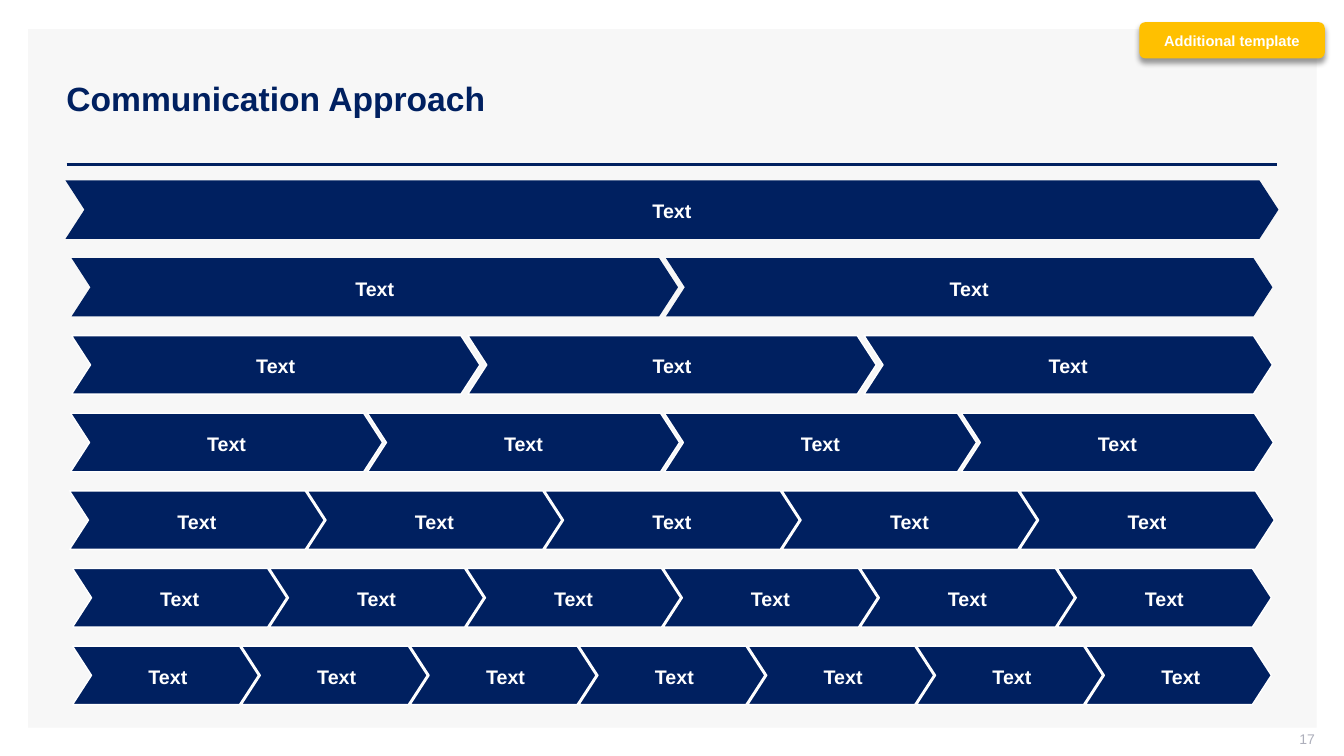
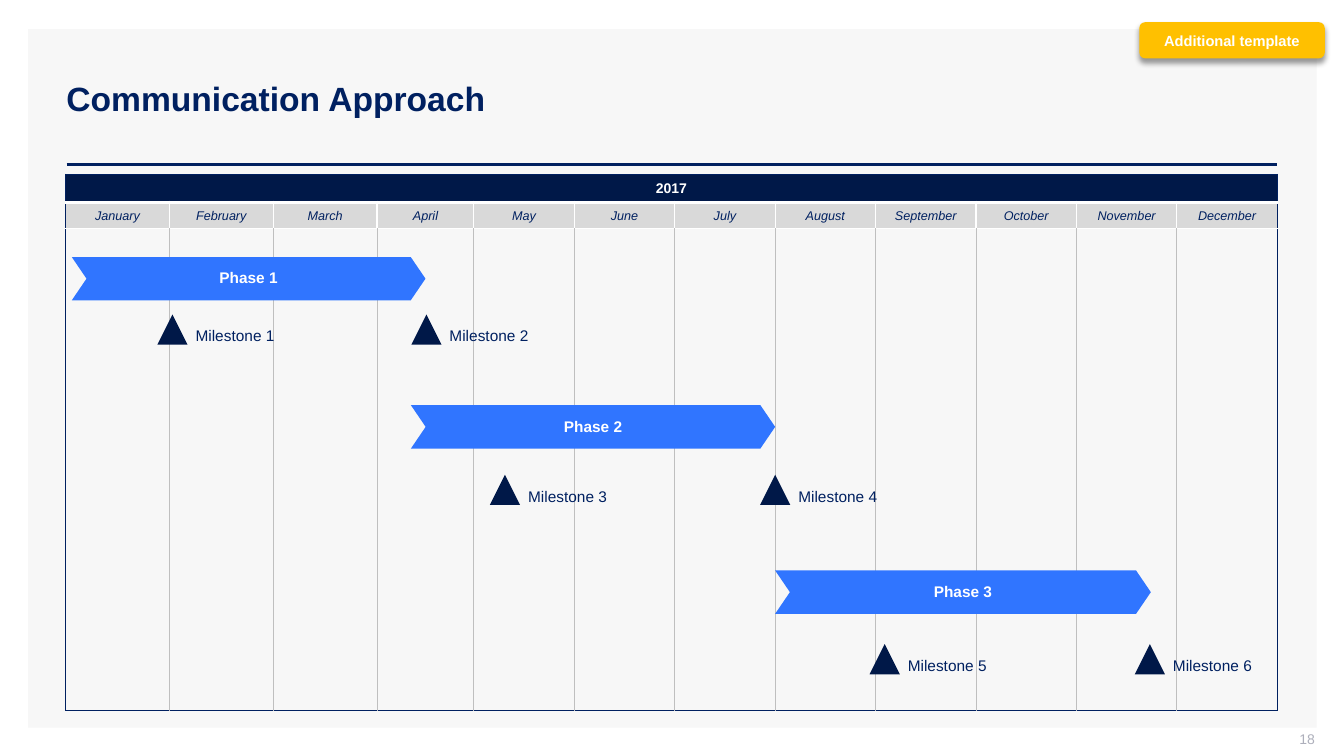
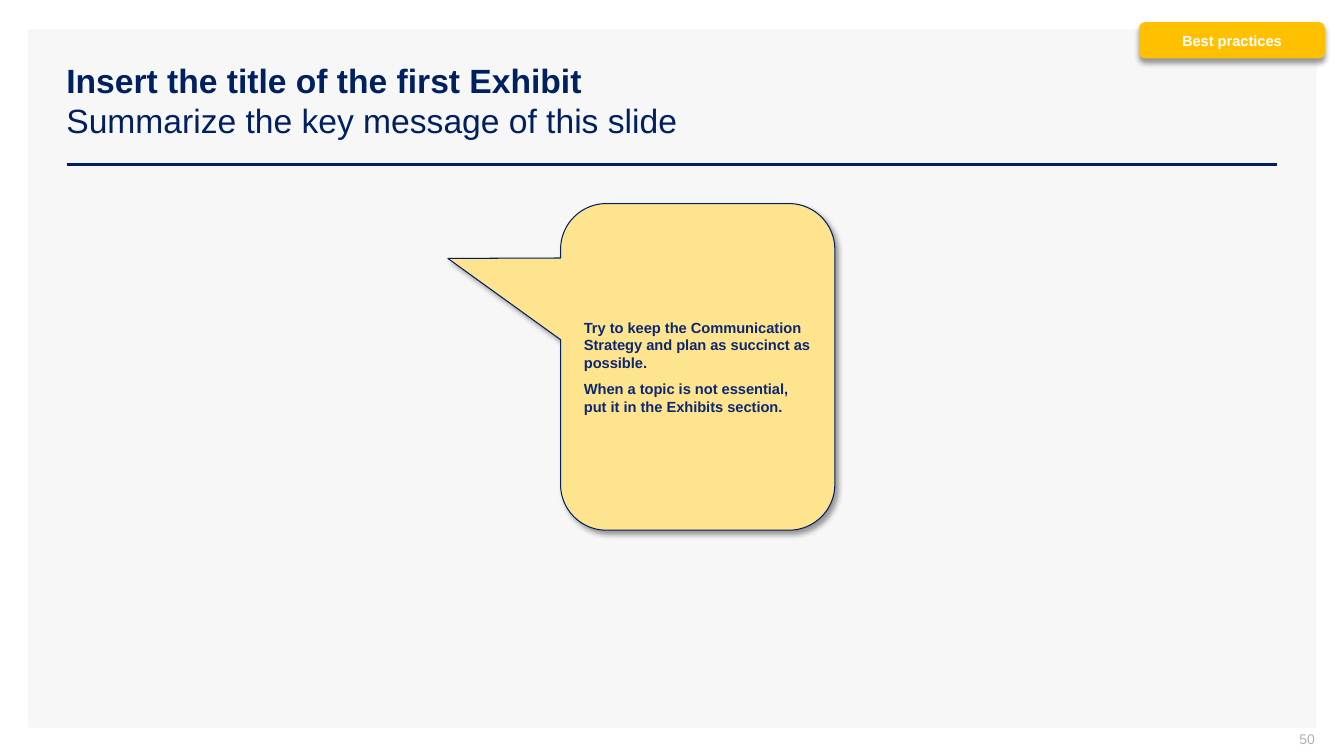
import pptx
import pptx.util
import pptx.dml.color
import pptx.enum.shapes
import pptx.enum.text
import pptx.oxml.ns
from itertools import accumulate
from lxml import etree

# Content
PLAN = "Communication Approach"
EXTRA = "Additional template"
ROWS = [  # chevrons, left edge, overlap, outline
    (1, 0.65, 0, None), (2, 0.71, 0.12, None), (3, 0.71, 0.12, "FFFFFF"),
    (4, 0.7, 0.15, "FFFFFF"), (5, 0.69, 0.17, "FFFFFF"),
    (6, 0.72, 0.17, "FFFFFF"), (7, 0.72, 0.17, "FFFFFF"),
]
YEAR = "2017"
MONTHS = ["January", "February", "March", "April", "May", "June", "July",
          "August", "September", "October", "November", "December"]
TRACKS = [  # phase, first and last month, top; milestones by month, top
    ("Phase 1", 0.06, 3.5, 2.55, [("Milestone 1", 1.03), ("Milestone 2", 3.51)], 3.12),
    ("Phase 2", 3.35, 7, 4.02, [("Milestone 3", 4.31), ("Milestone 4", 7)], 4.71),
    ("Phase 3", 7, 10.74, 5.66, [("Milestone 5", 8.09), ("Milestone 6", 10.73)], 6.39),
]
EXHIBIT = ["Insert the title of the first Exhibit",
           "Summarize the key message of this slide"]
TIPS = ["Try to keep the Communication Strategy and plan as succinct as possible.",
        "When a topic is not essential, put it in the Exhibits section."]

# Shared style
WIDE, HIGH = 13.33, 7.5
LEFT, SPAN = 0.65, 12.02
FONT = "Arial"
NAVY, DARK, BLUE, GOLD, WHITE = "002060", "001848", "3075FF", "FFC000", "FFFFFF"
PALE, GREY, LINE, MUTE = "F7F7F7", "D9D9D9", "BFBFBF", "ADAFBB"
CREAM, INK = "FFE48F", "0C2870"

Inch, Pt = pptx.util.Inches, pptx.util.Pt
KIND = pptx.enum.shapes.MSO_SHAPE
ALIGN, ANCHOR = pptx.enum.text.PP_ALIGN, pptx.enum.text.MSO_ANCHOR
MID = ALIGN.CENTER
qn = pptx.oxml.ns.qn


def tint(code):
    return pptx.dml.color.RGBColor.from_string(code)


def node(up, tag, **vals):
    return etree.SubElement(up, qn(tag), {k: str(v) for k, v in vals.items()})


def write(par, text, size, color, bold=False, slant=False):
    run = par.add_run()
    run.text = text
    font = run.font
    font.name, font.size, font.bold, font.italic = FONT, Pt(size), bold, slant
    font.color.rgb = tint(color)


def inset(area, sides):
    area.margin_left, area.margin_top, area.margin_right, area.margin_bottom = map(Inch, sides)


def frame(shape, anchor=ANCHOR.MIDDLE, pad=(0.1, 0.05, 0.1, 0.05), wrap=True):
    body = shape.text_frame
    body.word_wrap, body.vertical_anchor = wrap, anchor
    inset(body, pad)
    return body


def label(shape, text, size, color, bold=False, align=ALIGN.LEFT, gap=None, **opts):
    par = frame(shape, **opts).paragraphs[0]
    par.alignment = align
    if gap:
        par.line_spacing = gap
    write(par, text, size, color, bold)


def box(page, *at):
    return page.shapes.add_textbox(*map(Inch, at))


def draw(page, kind, at, fill, edge=None, width=1, adj=()):
    shape = page.shapes.add_shape(kind, *map(Inch, at))
    shape.shadow.inherit = False
    shape.fill.solid()
    shape.fill.fore_color.rgb = tint(fill)
    if edge:
        shape.line.color.rgb = tint(edge)
        shape.line.width = Pt(width)
    else:
        shape.line.fill.background()
    for i, val in enumerate(adj):
        shape.adjustments[i] = val
    return shape


def shade(shape, angle):
    glow = shape._element.spPr.find(qn("a:effectLst"))
    cast = node(glow, "a:outerShdw", blurRad=Pt(4), dist=Pt(3),
                dir=angle * 60000, algn="t", rotWithShape=0)
    node(node(cast, "a:srgbClr", val="000000"), "a:alpha", val=40000)


def start(deck, title, number, tag):
    """Add a page with panel, title, rule, page number and tag."""
    page = deck.slides.add_slide(deck.slide_layouts[6])
    draw(page, KIND.RECTANGLE, (0.28, 0.29, 12.78, 6.93), PALE)
    rule = page.shapes.add_connector(pptx.enum.shapes.MSO_CONNECTOR.STRAIGHT,
                                     *map(Inch, (0.66, 1.63, 12.67, 1.63)))
    rule.line.color.rgb, rule.line.width = tint(NAVY), Pt(2)
    node(rule._element.spPr, "a:effectLst")

    par = frame(box(page, 0.56, 0.4, 12.11, 1.19)).paragraphs[0]
    par.line_spacing = 0.9 if len(title) == 1 else 1.0
    for i, text in enumerate(title):
        if i:
            par.add_line_break()
        write(par, text, 24, NAVY, bold=i == 0)

    label(box(page, 10.04, 7.25, 3, 0.21), number, 10, MUTE,
          align=ALIGN.RIGHT, pad=(0.1, 0, 0, 0.05))
    badge = draw(page, KIND.ROUNDED_RECTANGLE, (11.3, 0.22, 1.84, 0.36), GOLD)
    shade(badge, 90)
    label(badge, tag, 10.5, WHITE, True, MID)
    return page


def steps(page):
    """Rows of one to seven chevrons, each row centred on the page."""
    for row, (count, left, lap, edge) in enumerate(ROWS):
        wide = (WIDE - 2 * left + (count - 1) * lap) / count
        pad = (0.1, 0.05, 0.05 if count == 7 else 0.1, 0.05)
        for i in range(count):
            at = (left + i * (wide - lap), 1.79 + 0.77 * row, wide, 0.58)
            step = draw(page, KIND.CHEVRON, at, NAVY, edge, adj=[0.324])
            label(step, "Text", 14, WHITE, True, MID, 1.1, pad=pad)


def border(cell, sides):
    prop = cell._tc.get_or_add_tcPr()
    for side, (color, width) in zip("LRTB", sides):
        line = node(prop, "a:ln" + side, w=Pt(width))
        node(node(line, "a:solidFill"), "a:srgbClr", val=color)


def grid(page, cols):
    """Year and month heads above one tall open row."""
    rows = [0.28, 0.26, 4.78]
    table = page.shapes.add_table(len(rows), len(cols), *map(
        Inch, (LEFT, 1.73, SPAN, sum(rows)))).table
    table.first_row = table.horz_banding = False
    for col, wide in zip(table.columns, cols):
        col.width = Inch(wide)
    for row, high in zip(table.rows, rows):
        row.height = Inch(high)

    rim, thin = (NAVY, 0.75), (WHITE, 1)
    looks = [  # fill, inner line, top, bottom
        (DARK, rim, rim, (WHITE, 3)),
        (GREY, thin, thin, thin),
        (None, (LINE, 0.75), thin, rim),
    ]
    for r, (fill, seam, top, base) in enumerate(looks):
        for c in range(len(cols)):
            cell = table.cell(r, c)
            border(cell, (seam if c else rim,
                          seam if c < len(cols) - 1 else rim, top, base))
            if fill:
                cell.fill.solid()
                cell.fill.fore_color.rgb = tint(fill)
            else:
                cell.fill.background()
            inset(cell, (0.04, 0.05, 0.04, 0.05))
            cell.vertical_anchor = ANCHOR.MIDDLE
            cell.text_frame.paragraphs[0].alignment = MID
    table.cell(0, 0).merge(table.cell(0, len(cols) - 1))
    write(table.cell(0, 0).text_frame.paragraphs[0], YEAR, 10, WHITE, True)
    for c, name in enumerate(MONTHS):
        write(table.cell(1, c).text_frame.paragraphs[0], name, 9, NAVY, slant=True)


def chart(page):
    """Phases and milestones placed by month."""
    cols = [1.03] * 3 + [0.96]
    cols += [(SPAN - sum(cols)) / 8] * 8
    edges = list(accumulate(cols, initial=LEFT))
    grid(page, cols)

    def spot(month):
        whole = int(month)
        return edges[whole] + (month - whole) * cols[whole]

    for name, first, last, top, marks, low in TRACKS:
        left = spot(first)
        bar = draw(page, KIND.CHEVRON, (left, top, spot(last) - left, 0.43),
                   BLUE, adj=[0.34])
        label(bar, name, 11, WHITE, True, MID, Pt(12), pad=(0, 0.04, 0, 0.04))
        for text, month in marks:
            mid = spot(month)
            draw(page, KIND.ISOSCELES_TRIANGLE, (mid - 0.15, low, 0.3, 0.3), DARK)
            label(box(page, mid + 0.13, low + 0.07, 1.02, 0.29), text, 11, NAVY,
                  anchor=ANCHOR.TOP, wrap=False)


def advice(page):
    """Callout with tips."""
    note = draw(page, KIND.ROUNDED_RECTANGULAR_CALLOUT, (5.56, 2.02, 2.72, 3.24),
                CREAM, NAVY, 0.75, (-0.911, -0.332, 0.167))
    shade(note, 45)
    body = frame(note)
    for i, text in enumerate(TIPS):
        par = body.add_paragraph() if i else body.paragraphs[0]
        par.alignment = ALIGN.LEFT
        par.space_before, par.space_after = Pt(3 if i else 0), Pt(3)
        write(par, text, 10.5, INK, True)


def main():
    deck = pptx.Presentation()
    deck.slide_width, deck.slide_height = Inch(WIDE), Inch(HIGH)
    steps(start(deck, [PLAN], "17", EXTRA))
    chart(start(deck, [PLAN], "18", EXTRA))
    advice(start(deck, EXHIBIT, "50", "Best practices"))
    deck.save("out.pptx")


if __name__ == "__main__":
    main()
